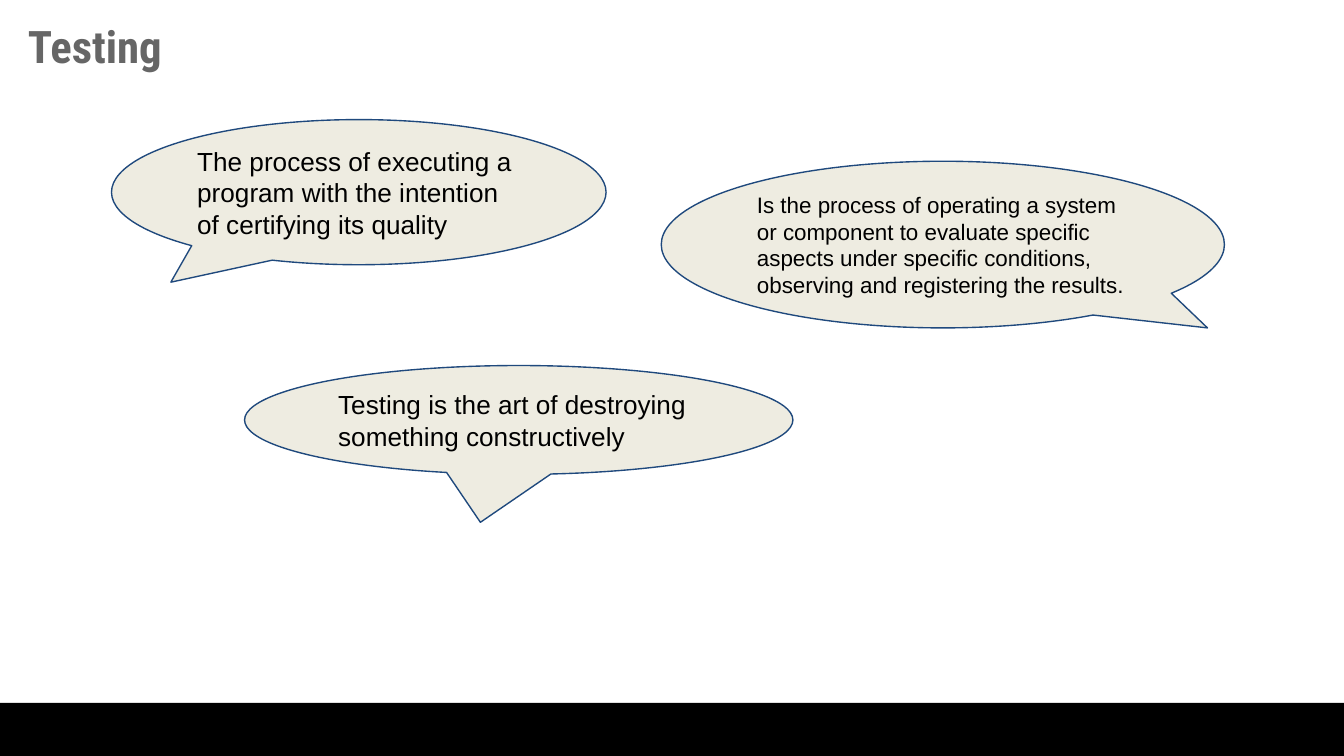
from dataclasses import dataclass

import pptx
import pptx.dml.color
import pptx.enum.shapes
import pptx.enum.text
import pptx.util

SLIDE_WIDTH = pptx.util.Inches(10)
SLIDE_HEIGHT = round(SLIDE_WIDTH * 9 / 16)
COLUMN = SLIDE_WIDTH / 100
ROW = SLIDE_HEIGHT / 56.25


@dataclass(frozen=True)
class Area:
    column: float
    row: float
    columns: float
    rows: float

    def lengths(self) -> tuple[int, int, int, int]:
        return (
            round(self.column * COLUMN),
            round(self.row * ROW),
            round(self.columns * COLUMN),
            round(self.rows * ROW),
        )


@dataclass(frozen=True)
class Bubble:
    text: str
    area: Area
    tail: tuple[float, float]
    size: float = 14


BUBBLES = (
    Bubble(
        "Is the process of operating a system or component to evaluate specific "
        "aspects under specific conditions, observing and registering the results.",
        Area(49.2, 12, 41.9, 12.4),
        (0.47, 0.5),
        12,
    ),
    Bubble(
        "The process of executing a program with the intention of certifying its quality",
        Area(8.3, 8.9, 36.8, 10.8),
        (-0.38, 0.62),
    ),
    Bubble(
        "Testing is the art of destroying something constructively",
        Area(18.2, 27.2, 40.8, 8.1),
        (-0.07, 0.94),
    ),
)


def color(value: str) -> pptx.dml.color.RGBColor:
    return pptx.dml.color.RGBColor.from_string(value)


def write_text(shape, text: str, *, size: float, font: str = "Arial",
               fill: str = "000000", bold: bool = False,
               anchor=pptx.enum.text.MSO_ANCHOR.MIDDLE) -> None:
    frame = shape.text_frame
    frame.word_wrap = True
    frame.vertical_anchor = anchor
    frame.margin_left = frame.margin_right = pptx.util.Inches(0.1)
    frame.margin_top = frame.margin_bottom = pptx.util.Inches(0.1)
    paragraph = frame.paragraphs[0]
    paragraph.alignment = pptx.enum.text.PP_ALIGN.LEFT
    run = paragraph.add_run()
    run.text = text
    run.font.name = font
    run.font.size = pptx.util.Pt(size)
    run.font.bold = bold
    run.font.color.rgb = color(fill)


def add_filled_shape(slide, kind, area: Area, fill: str):
    shape = slide.shapes.add_shape(kind, *area.lengths())
    shape.shadow.inherit = False
    shape.fill.solid()
    shape.fill.fore_color.rgb = color(fill)
    shape.line.fill.background()
    return shape


def add_bubble(slide, bubble: Bubble) -> None:
    shape = add_filled_shape(
        slide, pptx.enum.shapes.MSO_SHAPE.OVAL_CALLOUT, bubble.area, "EEECE1"
    )
    shape.adjustments[0], shape.adjustments[1] = bubble.tail
    shape.line.color.rgb = color("1F497D")
    shape.line.width = pptx.util.Pt(0.75)
    write_text(shape, bubble.text, size=bubble.size)


def main() -> None:
    presentation = pptx.Presentation()
    presentation.slide_width = SLIDE_WIDTH
    presentation.slide_height = SLIDE_HEIGHT
    slide = presentation.slides.add_slide(presentation.slide_layouts[6])

    add_filled_shape(
        slide, pptx.enum.shapes.MSO_SHAPE.RECTANGLE, Area(0, 52.3, 100, 4.1), "000000"
    )
    title = slide.shapes.add_textbox(*Area(1.1, 0.4, 60.6, 5).lengths())
    write_text(title, "Testing", size=24, font="Roboto Condensed", fill="666666",
               bold=True, anchor=pptx.enum.text.MSO_ANCHOR.TOP)
    for bubble in BUBBLES:
        add_bubble(slide, bubble)

    presentation.save("out.pptx")


if __name__ == "__main__":
    main()
